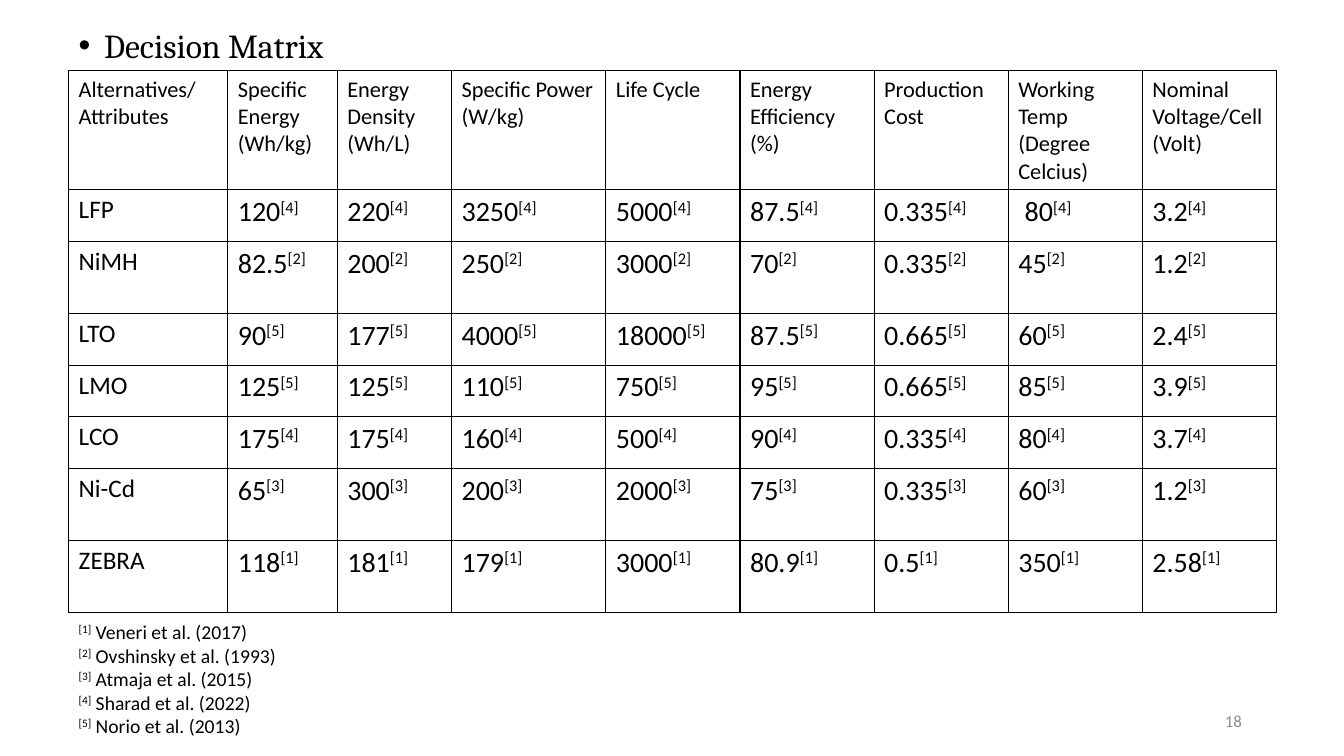
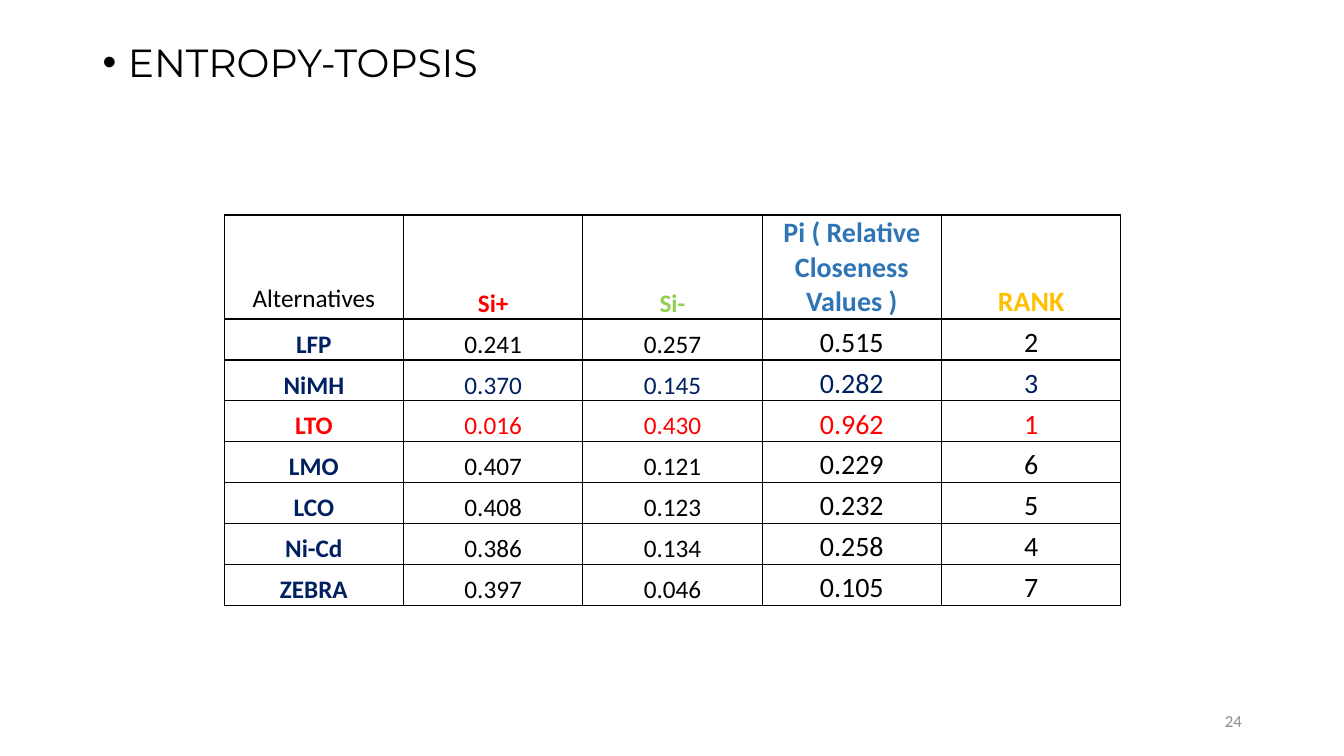
from lxml.etree import SubElement
from pptx import Presentation
from pptx.dml.color import RGBColor
from pptx.enum.text import MSO_ANCHOR, MSO_AUTO_SIZE, PP_ALIGN
from pptx.oxml.ns import qn
from pptx.util import Cm, Pt

# Shared style
BLACK = RGBColor(0x00, 0x00, 0x00)
GREY = RGBColor(0x8C, 0x8C, 0x8C)
RED = RGBColor(0xFF, 0x00, 0x00)
GREEN = RGBColor(0x92, 0xD0, 0x50)
BLUE = RGBColor(0x2F, 0x75, 0xB5)
GOLD = RGBColor(0xFF, 0xC0, 0x00)
NAVY = RGBColor(0x00, 0x20, 0x60)
BODY_FONT = "Calibri"

# Decision matrix: header cells as lines, rows as (name, reference, values)
MATRIX_HEADER = [
    ["Alternatives/ Attributes"],
    ["Specific Energy", "(Wh/kg)"],
    ["Energy Density", "(Wh/L)"],
    ["Specific Power", "(W/kg)"],
    ["Life Cycle"],
    ["Energy Efficiency (%)"],
    ["Production Cost"],
    ["Working Temp", "(Degree Celcius)"],
    ["Nominal Voltage/Cell", "(Volt)"],
]
MATRIX_ROWS = [
    ("LFP", 4, ["120", "220", "3250", "5000", "87.5", "0.335", " 80", "3.2"]),
    ("NiMH", 2, ["82.5", "200", "250", "3000", "70", "0.335", "45", "1.2"]),
    ("LTO", 5, ["90", "177", "4000", "18000", "87.5", "0.665", "60", "2.4"]),
    ("LMO", 5, ["125", "125", "110", "750", "95", "0.665", "85", "3.9"]),
    ("LCO", 4, ["175", "175", "160", "500", "90", "0.335", "80", "3.7"]),
    ("Ni-Cd", 3, ["65", "300", "200", "2000", "75", "0.335", "60", "1.2"]),
    ("ZEBRA", 1, ["118", "181", "179", "3000", "80.9", "0.5", "350", "2.58"]),
]
MATRIX_WIDTHS = [4.01, 2.76, 2.88, 3.89] + [3.38] * 5
MATRIX_HEIGHTS = [3, 1.3, 1.82, 1.3, 1.3, 1.3, 1.82, 1.82]
REFERENCES = [
    "Veneri et al. (2017)",
    "Ovshinsky et al. (1993)",
    "Atmaja et al. (2015)",
    "Sharad et al. (2022)",
    "Norio et al. (2013)",
]

# Ranking: header as (text, size, colour, bold), rows as (cells, name colour, value colour)
RANKING_HEADER = [
    ("Alternatives", 18, BLACK, False),
    ("Si+", 18, RED, True),
    ("Si-", 18, GREEN, True),
    ("Pi ( Relative Closeness Values )", 20, BLUE, True),
    ("RANK", 20, GOLD, True),
]
RANKING_ROWS = [
    (["LFP", "0.241", "0.257", "0.515", "2"], NAVY, BLACK),
    (["NiMH", "0.370", "0.145", "0.282", "3"], NAVY, NAVY),
    (["LTO", "0.016", "0.430", "0.962", "1"], RED, RED),
    (["LMO", "0.407", "0.121", "0.229", "6"], NAVY, BLACK),
    (["LCO", "0.408", "0.123", "0.232", "5"], NAVY, BLACK),
    (["Ni-Cd", "0.386", "0.134", "0.258", "4"], NAVY, BLACK),
    (["ZEBRA", "0.397", "0.046", "0.105", "7"], NAVY, BLACK),
]
RANKING_WIDTHS = [4.52] * 5
RANKING_HEIGHTS = [2.62] + [1.03] * 7


def add_span(para, text, size, color=BLACK, bold=False, font=BODY_FONT, raised=False):
    span = para.add_run()
    span.text = text
    span.font.name = font
    span.font.size = Pt(size)
    span.font.bold = bold
    span.font.color.rgb = color
    if raised:
        span._r.get_or_add_rPr().set("baseline", "30000")


def paragraphs(frame, count):
    return [frame.paragraphs[0]] + [frame.add_paragraph() for _ in range(count - 1)]


def add_box(page, left, top, width, height):
    box = page.shapes.add_textbox(Cm(left), Cm(top), Cm(width), Cm(height))
    box.text_frame.word_wrap = True
    return box.text_frame


def add_page(deck, heading, font, size, left, top, number):
    """Title-only slide with a bulleted heading and a page number."""
    page = deck.slides.add_slide(deck.slide_layouts[5])
    title = page.shapes.title
    title.left, title.top = Cm(left), Cm(top)
    title.width, title.height = Cm(29), Cm(1.4)
    frame = title.text_frame
    frame.auto_size = MSO_AUTO_SIZE.NONE
    frame.vertical_anchor = MSO_ANCHOR.TOP
    para = frame.paragraphs[0]
    props = para._p.get_or_add_pPr()
    props.set("marL", str(Cm(0.64)))
    props.set("indent", str(-Cm(0.64)))
    SubElement(props, qn("a:buFont")).set("typeface", "Arial")
    SubElement(props, qn("a:buChar")).set("char", "•")
    para.alignment = PP_ALIGN.LEFT
    para.line_spacing = 0.9
    add_span(para, heading, size, font=font)

    footer = add_box(page, 23.93, 17.65, 7.62, 1.02)
    footer.vertical_anchor = MSO_ANCHOR.MIDDLE
    footer.paragraphs[0].alignment = PP_ALIGN.RIGHT
    add_span(footer.paragraphs[0], number, 12, GREY)
    return page


def add_grid(page, left, top, widths, heights):
    """Unfilled table with thin black lines around every cell."""
    table = page.shapes.add_table(
        len(heights), len(widths), Cm(left), Cm(top), Cm(sum(widths)), Cm(sum(heights))
    ).table
    table.first_row = table.horz_banding = False
    for column, width in zip(table.columns, widths):
        column.width = Cm(width)
    for row, height in zip(table.rows, heights):
        row.height = Cm(height)
    for cell in table.iter_cells():
        props = cell._tc.get_or_add_tcPr()
        for side in ("a:lnL", "a:lnR", "a:lnT", "a:lnB"):
            line = SubElement(props, qn(side))
            line.set("w", str(Pt(1)))
            fill = SubElement(line, qn("a:solidFill"))
            SubElement(fill, qn("a:srgbClr")).set("val", str(BLACK))
        cell.fill.background()
    return table


def add_matrix_page(deck):
    page = add_page(deck, "Decision Matrix", "Cambria", 24, 1.73, 0.61, "18")
    table = add_grid(page, 1.73, 1.78, MATRIX_WIDTHS, MATRIX_HEIGHTS)
    for col, lines in enumerate(MATRIX_HEADER):
        frame = table.cell(0, col).text_frame
        for para, line in zip(paragraphs(frame, len(lines)), lines):
            add_span(para, line, 16)
    for row, (name, reference, values) in enumerate(MATRIX_ROWS, 1):
        add_span(table.cell(row, 0).text_frame.paragraphs[0], name, 18)
        for col, value in enumerate(values, 1):
            para = table.cell(row, col).text_frame.paragraphs[0]
            add_span(para, value, 20)
            add_span(para, f"[{reference}]", 20, raised=True)

    # References below the table
    notes = add_box(page, 1.73, 15.5, 30.43, 3.25)
    for index, para in enumerate(paragraphs(notes, len(REFERENCES))):
        add_span(para, f"[{index + 1}]", 14, raised=True)
        add_span(para, f" {REFERENCES[index]}", 14)


def add_ranking_page(deck):
    page = add_page(deck, "ENTROPY-TOPSIS", "Montserrat", 28, 2.33, 0.97, "24")
    table = add_grid(page, 5.65, 5.42, RANKING_WIDTHS, RANKING_HEIGHTS)
    rows = [RANKING_HEADER]
    for cells, name_color, value_color in RANKING_ROWS:
        rows.append([
            (text, 18 if col < 3 else 20, value_color if col else name_color, col == 0)
            for col, text in enumerate(cells)
        ])
    for row, cells in enumerate(rows):
        for col, (text, size, color, bold) in enumerate(cells):
            cell = table.cell(row, col)
            cell.vertical_anchor = MSO_ANCHOR.BOTTOM
            if row or col:
                cell.margin_left = cell.margin_right = cell.margin_top = Cm(0.03)
                cell.margin_bottom = 0
            para = cell.text_frame.paragraphs[0]
            para.alignment = PP_ALIGN.CENTER
            add_span(para, text, size, color, bold)


def main():
    deck = Presentation()
    deck.slide_width, deck.slide_height = Cm(33.87), Cm(19.05)
    add_matrix_page(deck)
    add_ranking_page(deck)
    deck.save("out.pptx")


if __name__ == "__main__":
    main()
